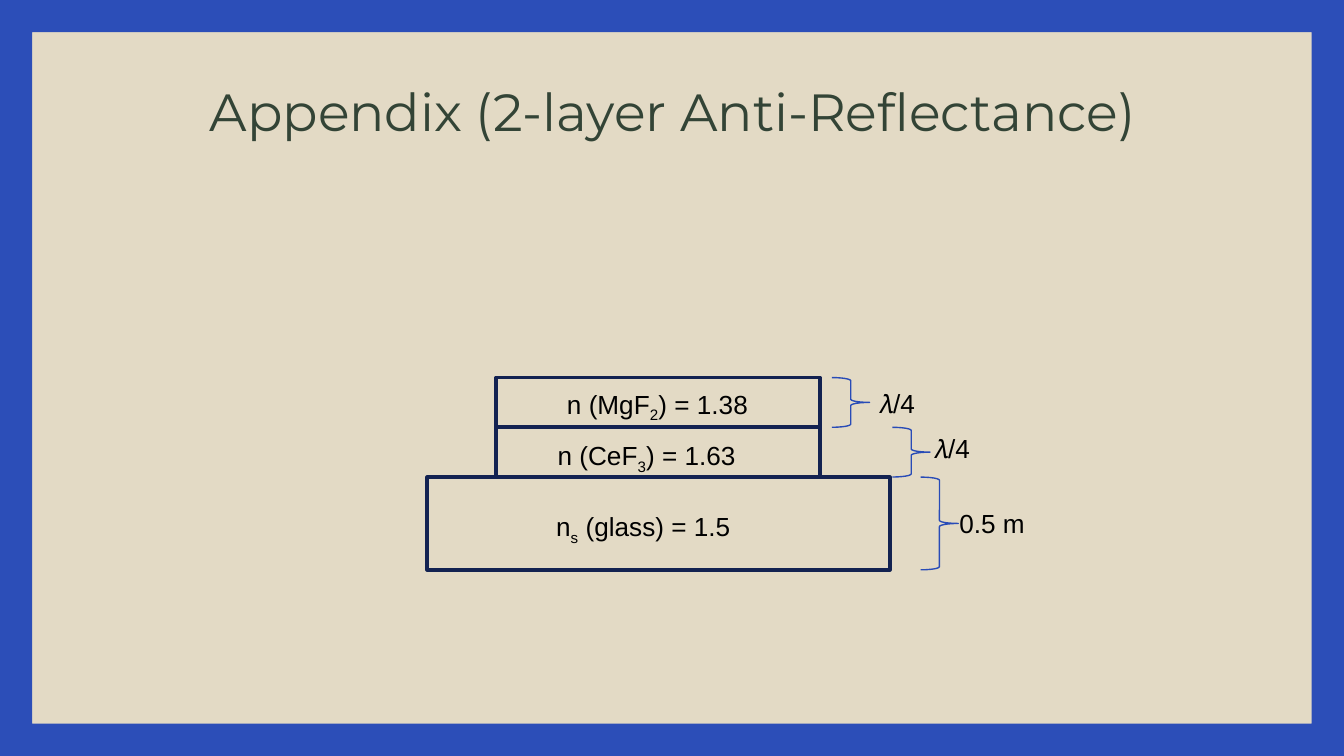
from pptx import Presentation
from pptx.dml.color import RGBColor
from pptx.enum.shapes import MSO_SHAPE
from pptx.enum.text import MSO_ANCHOR, PP_ALIGN
from pptx.util import Inches, Pt


def color(code):
    return RGBColor.from_string(code)


def assign(target, values):
    for name, value in values.items():
        setattr(target, name, value)


class Deck:
    body = {"name": "Arial", "size": Pt(14)}
    head = {"name": "Montserrat", "size": Pt(28)}
    navy, blue, frame = "132251", "284BB7", "2C4EB8"
    sand, green, black = "E3DAC5", "334436", "000000"

    def __init__(self, width, height):
        self.file = Presentation()
        assign(self.file, {"slide_width": width, "slide_height": height})
        self.slide = self.file.slides.add_slide(self.file.slide_layouts[6])
        self.shapes = self.slide.shapes
        fill = self.slide.background.fill
        fill.solid()
        fill.fore_color.rgb = color(self.sand)

    def border(self, edge):
        width, height = self.file.slide_width, self.file.slide_height
        right, low = width - edge, height - edge
        pen = self.shapes.build_freeform(edge, edge)
        pen.add_line_segments([(edge, low), (right, low), (right, edge)], close=True)
        pen.move_to(width, 0)
        pen.add_line_segments([(width, height), (0, height), (0, 0)], close=True)
        shape = pen.convert_to_shape()
        shape.shadow.inherit = False
        shape.fill.solid()
        shape.fill.fore_color.rgb = color(self.frame)
        shape.line.fill.background()

    def outline(self, kind, box, tint, weight):
        shape = self.shapes.add_shape(kind, *map(Inches, box))
        shape.shadow.inherit = False
        shape.fill.background()
        shape.line.color.rgb = color(tint)
        shape.line.width = Pt(weight)

    def layer(self, box):
        self.outline(MSO_SHAPE.RECTANGLE, box, self.navy, 2)

    def brace(self, box):
        self.outline(MSO_SHAPE.RIGHT_BRACE, box, self.blue, 0.75)

    def text(self, box, parts, style, tint, align=PP_ALIGN.LEFT, inset=0.05):
        frame = self.shapes.add_textbox(*map(Inches, box)).text_frame
        assign(frame, {
            "word_wrap": True,
            "vertical_anchor": MSO_ANCHOR.TOP,
            "margin_top": Inches(inset),
            "margin_bottom": Inches(inset),
        })
        line = frame.paragraphs[0]
        line.alignment = align
        for index, part in enumerate(parts):
            run = line.add_run()
            run.text = part
            assign(run.font, style)
            run.font.color.rgb = color(tint)
            if index % 2:
                run.font._element.set("baseline", "-25000")

    def title(self, box, words):
        self.text(box, [words], self.head, self.green, PP_ALIGN.CENTER, 0.1)

    def label(self, box, *parts):
        self.text(box, parts, self.body, self.black)

    def save(self):
        self.file.save("out.pptx")


def main():
    wide = Inches(10)
    deck = Deck(wide, wide * 9 // 16)
    deck.border(Inches(0.24))
    deck.title((0.79, 0.49, 8.43, 0.63), "Appendix (2-layer Anti-Reflectance)")

    stack = [
        (3.69, 2.41, 0.37, 6.19, (4.12, 2.84, 1.81),
         ("n (MgF", "2", ") = 1.38"), (6.44, 2.83, 0.55), "𝜆/4"),
        (3.69, 2.41, 0.37, 6.64, (4.05, 3.22, 1.98),
         ("n (CeF", "3", ") = 1.63"), (6.85, 3.17, 0.55), "𝜆/4"),
        (3.18, 3.44, 0.69, 6.85, (4.04, 3.75, 1.73),
         ("n", "s", " (glass) = 1.5"), (7.04, 3.73, 0.74), "0.5 m"),
    ]
    top = 2.81
    for left, width, depth, brace, spot, index, side, size in stack:
        deck.layer((left, top, width, depth))
        deck.brace((brace, top, 0.28, depth))
        deck.label((*spot, 0.34), *index)
        deck.label((*side, 0.34), size)
        top += depth
    deck.save()


if __name__ == "__main__":
    main()
